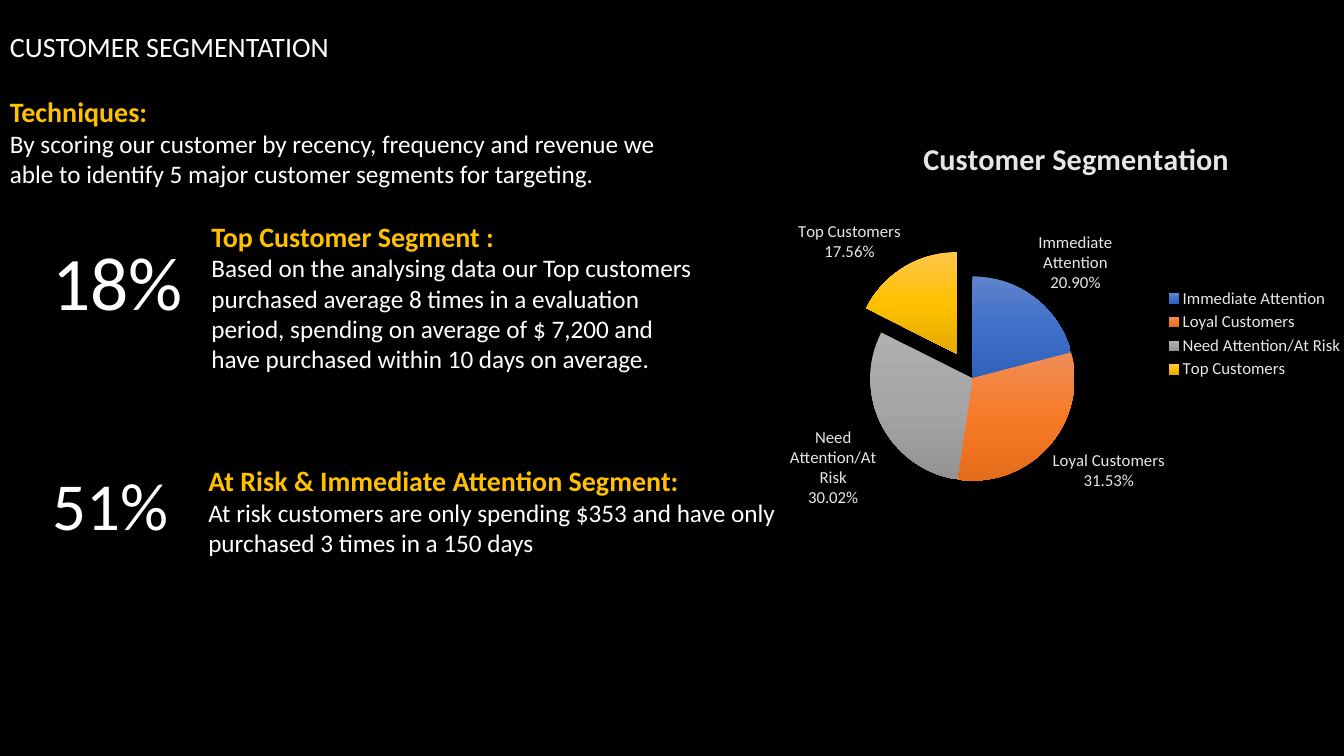
from pptx import Presentation
from pptx import util as u
from pptx.chart.data import CategoryChartData
from pptx.dml.color import RGBColor
from pptx.enum import chart as charts, text
from pptx.oxml import parse_xml
from pptx.oxml.ns import nsdecls, qn

WHITE, GOLD, PALE, BLACK = "FFFFFF", "FFC000", "E7E6E6", "000000"
SEGMENTS = [
    ("Immediate Attention", 20.9, ("6183CB", "3E70CA", "3062BB")),
    ("Loyal Customers", 31.53, ("F18C57", "F67B28", "E56C19")),
    ("Need Attention/At Risk", 30.02, ("AFAFAF", "A5A5A5", "939393")),
    ("Top Customers", 17.56, ("FFC64B", "FFC000", "E3AB00")),
]


def color(value):
    return RGBColor.from_string(value)


def apply(target, values):
    for name, value in values.items():
        setattr(target, name, value)


def place(element, **fractions):
    """Position a chart part by fractions of the chart's size."""
    for layout in element.findall(qn("c:layout")):
        element.remove(layout)
    target = '<c:layoutTarget val="inner"/>' if element.tag == qn("c:plotArea") else ""
    modes = "".join(f'<c:{axis}Mode val="edge"/>' for axis in "xy")
    sizes = "".join(f'<c:{name} val="{value}"/>' for name, value in fractions.items())
    layout = parse_xml(f'<c:layout {nsdecls("c")}><c:manualLayout>{target}{modes}{sizes}'
                       "</c:manualLayout></c:layout>")
    overlay = element.find(qn("c:overlay"))
    if overlay is None:
        element.insert(0, layout)
    else:
        overlay.addprevious(layout)


class SlideBuilder:
    def __init__(self, deck, font):
        self.font_name = font
        self.slide = deck.slides.add_slide(deck.slide_layouts[6])
        fill = self.slide.background.fill
        fill.solid()
        fill.fore_color.rgb = color(BLACK)

    def style(self, font, size, tint, bold=False):
        apply(font, {"name": self.font_name, "size": u.Pt(size), "bold": bold})
        font.color.rgb = color(tint)

    def text_box(self, area, lines, anchor=text.MSO_ANCHOR.TOP):
        """Each line is (words, size, colour, bold, space before, indent in cm)."""
        box = self.slide.shapes.add_textbox(*map(u.Cm, area))
        frame = box.text_frame
        apply(frame, {"word_wrap": True, "vertical_anchor": anchor})
        for index, (words, size, tint, bold, gap, indent) in enumerate(lines):
            para = frame.add_paragraph() if index else frame.paragraphs[0]
            para.space_before = u.Pt(gap)
            if indent:
                para._p.get_or_add_pPr().set("marL", str(u.Cm(indent)))
            span = para.add_run()
            span.text = words
            self.style(span.font, size, tint, bold)

    def pie(self, area, title, segments, exploded, explosion):
        data = CategoryChartData()
        data.categories = [name for name, _, _ in segments]
        data.add_series("Series 1", [value for _, value, _ in segments])
        chart = self.slide.shapes.add_chart(
            charts.XL_CHART_TYPE.PIE, *map(u.Cm, area), data).chart
        self.style(chart.font, 10, WHITE)

        chart.has_title = True
        frame = chart.chart_title.text_frame
        frame.text = title
        self.style(frame.paragraphs[0].runs[0].font, 21.6, PALE, True)
        chart.chart_title.include_in_layout = False
        chart.has_legend = True
        apply(chart.legend, {"position": charts.XL_LEGEND_POSITION.RIGHT,
                             "include_in_layout": False})
        self.style(chart.legend.font, 12, PALE)

        plot = chart.plots[0]
        plot.vary_by_categories = True
        series = plot.series[0]
        for index, (_, _, shades) in enumerate(segments):
            self.shade(series, index, shades)
        slice_format = series._element.findall(qn("c:dPt"))[exploded].find(qn("c:spPr"))
        slice_format.addprevious(
            parse_xml(f'<c:explosion {nsdecls("c")} val="{explosion}"/>'))

        labels = series.data_labels
        apply(labels, {"show_value": False, "show_percentage": True,
                       "show_category_name": True, "number_format": "0.00%",
                       "number_format_is_linked": False,
                       "position": charts.XL_LABEL_POSITION.OUTSIDE_END})
        self.style(labels.font, 12, PALE)
        labels._element.find(qn("c:showBubbleSize")).addnext(
            parse_xml(f'<c:separator {nsdecls("c")}>\n</c:separator>'))

        place(chart.chart_title._element, x=0.28, y=0.03)
        place(chart.legend._element, x=0.68, y=0.39, w=0.31, h=0.23)
        place(chart._chartSpace.chart.plotArea, x=0.2, y=0.37, w=0.34, h=0.48)

    def shade(self, series, index, shades):
        """Fill one slice with a gradient running from top to bottom."""
        fill = series.points[index].format.fill
        fill.gradient()
        fill.gradient_angle = 270
        stops = series._element.xpath(".//a:gsLst")[index]
        for stop in list(stops):
            stops.remove(stop)
        for step, shade in enumerate(shades):
            stops.append(parse_xml(f'<a:gs {nsdecls("a")} pos="{step * 50000}">'
                                   f'<a:srgbClr val="{shade}"/></a:gs>'))


def main():
    deck = Presentation()
    apply(deck, {"slide_width": u.Cm(33.87), "slide_height": u.Cm(19.05)})
    page = SlideBuilder(deck, "Calibri")
    page.text_box((0, 0.64, 17.78, 8.89), [
        ("CUSTOMER SEGMENTATION", 20, WHITE, False, 0, 0),
        ("Techniques:", 20, GOLD, True, 22, 0),
        ("By scoring our customer by recency, frequency and revenue we able to "
         "identify 5 major customer segments for targeting.", 18, WHITE, False, 0, 0),
        ("Top Customer Segment :", 20, GOLD, True, 22, 5.08),
        ("Based on the analysing data our Top customers purchased average 8 times in a "
         "evaluation period, spending on average of $ 7,200 and have purchased within "
         "10 days on average.", 18, WHITE, False, 0, 5.08),
    ], text.MSO_ANCHOR.MIDDLE)
    page.text_box((1.07, 5.79, 3.94, 2.57), [("18%", 54, WHITE, False, 0, 0)])
    page.text_box((5, 11.56, 15.88, 2.64), [
        ("At Risk & Immediate Attention Segment:", 20, GOLD, True, 0, 0),
        ("At risk customers are only spending $353 and have only purchased 3 times "
         "in a 150 days", 18, WHITE, False, 0, 0),
    ])
    page.text_box((1.07, 11.56, 3.48, 2.31), [("51%", 48, WHITE, False, 0, 0)])
    page.pie((18.85, 3, 15.29, 10.72), "Customer Segmentation", SEGMENTS,
             exploded=3, explosion=28)
    deck.save("out.pptx")


if __name__ == "__main__":
    main()
